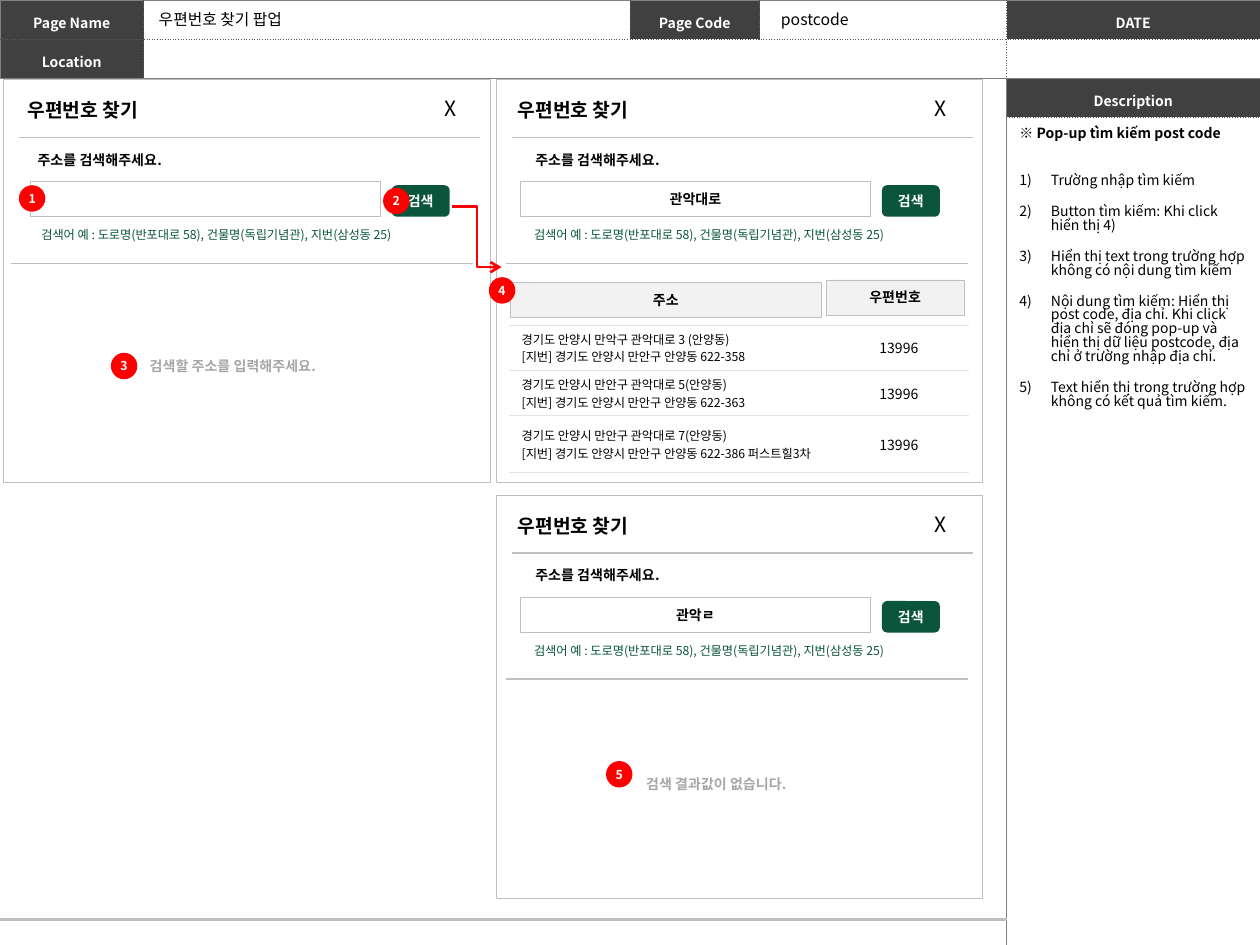
from lxml.etree import SubElement
from pptx import Presentation
from pptx.dml.color import RGBColor
from pptx.enum.shapes import MSO_CONNECTOR, MSO_SHAPE
from pptx.enum.text import MSO_ANCHOR, MSO_AUTO_SIZE, PP_ALIGN
from pptx.oxml.ns import qn
from pptx.util import Inches, Pt

COLORS = {
    "black": "000000", "white": "FFFFFF", "header": "404040", "frame": "808080",
    "dots": "595959", "rule": "BFBFBF", "row": "E5E5E5", "head": "F2F2F2",
    "muted": "A6A6A6", "green": "0B553C", "red": "FF0000",
}
FONT = "Noto Sans CJK KR"
FRAME = ("frame", 0.5, "solid")
DOTS = ("dots", 0.5, "sysDot")
ROW = ("row", 0.75, "solid")


def rgb(name):
    return RGBColor.from_string(COLORS[name])


class Page:
    def __init__(self, slide):
        self.s = slide

    def run(self, p, text, size=8, color="black", bold=False):
        r = p.add_run()
        r.text = text
        r.font.size, r.font.bold, r.font.name = Pt(size), bold, FONT
        r.font.color.rgb = rgb(color)
        SubElement(r.font._element, qn("a:ea")).set("typeface", FONT)

    def place(self, sp, x, y, w, h):
        sp.left, sp.top, sp.width, sp.height = map(Inches, (x, y, w, h))

    def label(self, x, y, w, h, text, size=8, color="black", bold=False, wrap=False, spacing=None):
        tf = self.s.shapes.add_textbox(*map(Inches, (x, y, w, h))).text_frame
        tf.word_wrap = wrap
        tf.auto_size = MSO_AUTO_SIZE.SHAPE_TO_FIT_TEXT
        if spacing:
            tf.paragraphs[0].line_spacing = spacing
        self.run(tf.paragraphs[0], text, size, color, bold)

    def box(self, x, y, w, h, text="", kind=MSO_SHAPE.RECTANGLE, fill=None, line=None,
            color="black", size=8, inset=None):
        sp = self.s.shapes.add_shape(kind, *map(Inches, (x, y, w, h)))
        sp.shadow.inherit = False
        if fill:
            sp.fill.solid()
            sp.fill.fore_color.rgb = rgb(fill)
        else:
            sp.fill.background()
        if line:
            sp.line.color.rgb = rgb(line)
            sp.line.width = Pt(0.25)
        else:
            sp.line.fill.background()
        if text:
            tf = sp.text_frame
            tf.vertical_anchor = MSO_ANCHOR.MIDDLE
            if inset is not None:
                tf.margin_left = tf.margin_right = tf.margin_top = tf.margin_bottom = Inches(inset)
            tf.paragraphs[0].alignment = PP_ALIGN.CENTER
            self.run(tf.paragraphs[0], text, size, color, True)

    def badge(self, x, y, number):
        self.box(x, y, 0.21, 0.21, str(number), MSO_SHAPE.OVAL, "red", color="white", size=7, inset=0)

    def line(self, x1, y1, x2, y2, color="rule", width=0.75, kind=MSO_CONNECTOR.STRAIGHT, arrow=False):
        c = self.s.shapes.add_connector(kind, *map(Inches, (x1, y1, x2, y2)))
        c.line.color.rgb = rgb(color)
        c.line.width = Pt(width)
        if arrow:
            SubElement(c.line._get_or_add_ln(), qn("a:tailEnd")).set("type", "arrow")
        SubElement(c._element.spPr, qn("a:effectLst"))

    def table(self, x, y, cols, rows):
        frame = self.s.shapes.add_table(len(rows), len(cols), *map(Inches, (x, y, sum(cols), sum(rows))))
        tbl = frame.table
        tbl.first_row = tbl.horz_banding = False
        for col, w in zip(tbl.columns, cols):
            col.width = Inches(w)
        for row, h in zip(tbl.rows, rows):
            row.height = Inches(h)
        return tbl

    def cell(self, cell, lines, borders, fill=None, size=8, color="black", bold=False,
             center=True, spacing=None, side=0.04):
        tcPr = cell._tc.get_or_add_tcPr()
        for edge, style in zip("LRTB", borders):
            ln = SubElement(tcPr, qn(f"a:ln{edge}"))
            if not style:
                SubElement(ln, qn("a:noFill"))
                continue
            name, width, dash = style
            ln.set("w", str(Pt(width)))
            SubElement(SubElement(ln, qn("a:solidFill")), qn("a:srgbClr")).set("val", COLORS[name])
            SubElement(ln, qn("a:prstDash")).set("val", dash)
        if fill:
            cell.fill.solid()
            cell.fill.fore_color.rgb = rgb(fill)
        else:
            cell.fill.background()
        cell.vertical_anchor = MSO_ANCHOR.MIDDLE
        cell.margin_left = cell.margin_right = Inches(side)
        cell.margin_top = cell.margin_bottom = Inches(0.04)
        tf = cell.text_frame
        if not lines:
            SubElement(tf.paragraphs[0]._p, qn("a:endParaRPr")).set("sz", "800")
        for i, text in enumerate(lines):
            p = tf.add_paragraph() if i else tf.paragraphs[0]
            p.alignment = PP_ALIGN.CENTER if center else PP_ALIGN.LEFT
            if spacing:
                p.line_spacing = spacing
            self.run(p, text, size, color, bold)

    def header_cell(self, cell, text, borders):
        self.cell(cell, [text] if text else [], borders, "header" if text else None,
                  color="white", bold=True, spacing=1.3)

    def title(self, text):
        sp = self.s.shapes.title
        self.place(sp, 1.16, 0.03, 1.23, 0.25)
        tf = sp.text_frame
        tf.word_wrap, tf.auto_size, tf.vertical_anchor = False, MSO_AUTO_SIZE.NONE, MSO_ANCHOR.TOP
        tf.paragraphs[0].alignment = PP_ALIGN.LEFT
        self.run(tf.paragraphs[0], text, 9)

    def description(self, heading, items):
        sp = self.s.placeholders[1]
        self.place(sp, 7.99, 0.96, 2.01, 2.93)
        tf = sp.text_frame
        tf.word_wrap, tf.auto_size = True, MSO_AUTO_SIZE.NONE
        for i, text in enumerate([heading] + items):
            p = tf.add_paragraph() if i else tf.paragraphs[0]
            p.line_spacing = 0.83
            p.space_before = Pt((0, 19.2)[i] if i < 2 else 9.6)
            pPr = p._p.get_or_add_pPr()
            indent = Inches(0.25) if i else 0
            pPr.set("marL", str(indent))
            pPr.set("indent", str(-indent))
            if i:
                SubElement(pPr, qn("a:buFont")).set("typeface", FONT)
                SubElement(pPr, qn("a:buAutoNum")).set("type", "arabicParenR")
            else:
                SubElement(pPr, qn("a:buNone"))
            self.run(p, text, bold=not i)

    def popup(self, x, y, query="", shift=0.0, label_x=0.21):
        """Search pop-up; shift moves its title, field and buttons sideways."""
        self.box(x, y, 3.86, 3.2, line="rule")
        self.line(x + 0.12, y + 0.46, x + 3.78, y + 0.46)
        self.label(x + 0.07 + shift, y + 0.1, 1.16, 0.29, "우편번호 찾기", 11, bold=True)
        self.label(x + 3.38 + shift, y + 0.08, 0.31, 0.3, "X", 12)
        self.label(x + label_x, y + 0.52, 1.21, 0.24, "주소를 검색해주세요.", bold=True)
        self.box(x + 0.19 + shift, y + 0.81, 2.78, 0.28, query, line="rule")
        self.box(x + 3.06 + shift, y + 0.84, 0.46, 0.25, "검색", MSO_SHAPE.ROUNDED_RECTANGLE,
                 "green", color="white")
        self.label(x + 0.2, y + 1.14, 3.12, 0.22,
                   "검색어 예 : 도로명(반포대로 58), 건물명(독립기념관), 지번(삼성동 25)",
                   7, "green", wrap=True, spacing=0.87)
        self.line(x + 0.08 - shift, y + 1.46, x + 3.74 - shift, y + 1.46)


def main():
    prs = Presentation()
    prs.slide_width, prs.slide_height = Inches(10), Inches(7.5)
    page = Page(prs.slides.add_slide(prs.slide_layouts[1]))

    # Page header
    tbl = page.table(0, 0, [1.14, 3.86, 1.03, 1.96, 2.01], [0.31, 0.31])
    tbl.cell(1, 1).merge(tbl.cell(1, 3))
    for i, row in enumerate([["Page Name", "", "Page Code", "", "DATE"], ["Location", "", "", "", ""]]):
        for j, text in enumerate(row):
            borders = (DOTS if j else FRAME, FRAME if j == 4 else DOTS,
                       DOTS if i else FRAME, FRAME if i else DOTS)
            page.header_cell(tbl.cell(i, j), text, borders)
    page.title("우편번호 찾기 팝업")
    page.label(6.1, 0.03, 0.74, 0.25, "postcode", 9)

    # Description column and footer rule
    tbl = page.table(7.99, 0.62, [2.01], [0.31, 6.57])
    page.header_cell(tbl.cell(0, 0), "Description", (FRAME, FRAME, FRAME, DOTS))
    page.header_cell(tbl.cell(1, 0), "", (FRAME, FRAME, DOTS, FRAME))
    page.description("※ Pop-up tìm kiếm post code", [
        "Trường nhập tìm kiếm",
        "Button tìm kiếm: Khi click hiển thị 4)",
        "Hiển thị text trong trường hợp không có nội dung tìm kiếm",
        "Nội dung tìm kiếm: Hiển thị post code, địa chỉ. Khi click địa chỉ sẽ đóng pop-up và "
        "hiển thị dữ liệu postcode, địa chỉ ở trường nhập địa chỉ.",
        "Text hiển thị trong trường hợp không có kết quả tìm kiếm.",
    ])
    page.line(0, 7.3, 7.99, 7.3, width=1.5)

    # Pop-ups: empty, with results, without results
    page.popup(0.03, 0.63, shift=0.02, label_x=0.17)
    page.label(1.09, 2.79, 1.56, 0.24, "검색할 주소를 입력해주세요.", color="muted", bold=True)
    page.popup(3.94, 0.63, "관악대로")
    page.popup(3.94, 3.93, "관악ㄹ")
    page.label(5.03, 6.11, 1.35, 0.24, "검색 결과값이 없습니다.", color="muted", bold=True)

    # Search results
    page.box(6.56, 2.22, 1.09, 0.28, "우편번호", fill="head", line="rule")
    page.box(4.05, 2.24, 2.47, 0.28, "주소", fill="head", line="rule")
    results = [
        ("경기도 안양시 만악구 관악대로 3 (안양동)", "[지번] 경기도 안양시 만안구 안양동 622-358"),
        ("경기도 안양시 만안구 관악대로 5(안양동)", "[지번] 경기도 안양시 만안구 안양동 622-363"),
        ("경기도 안양시 만안구 관악대로 7(안양동)", "[지번] 경기도 안양시 만안구 안양동 622-386 퍼스트힐3차"),
    ]
    tbl = page.table(4.04, 2.58, [2.54, 1.11], [0.36, 0.36, 0.45])
    borders = (None, None, ROW, ROW)
    for i, address in enumerate(results):
        page.cell(tbl.cell(i, 0), address, borders, "white", 7, center=False, side=0.1)
        page.cell(tbl.cell(i, 1), ["13996"], borders, "white", side=0.1)

    # Flow arrow and numbered markers
    page.line(3.59, 1.64, 3.98, 2.12, "red", 1.5, MSO_CONNECTOR.ELBOW, arrow=True)
    markers = [(0.15, 1.47), (3.04, 1.49), (0.88, 2.8), (3.88, 2.2), (4.81, 6.04)]
    for number, (x, y) in enumerate(markers, 1):
        page.badge(x, y, number)

    prs.save("out.pptx")


if __name__ == "__main__":
    main()
